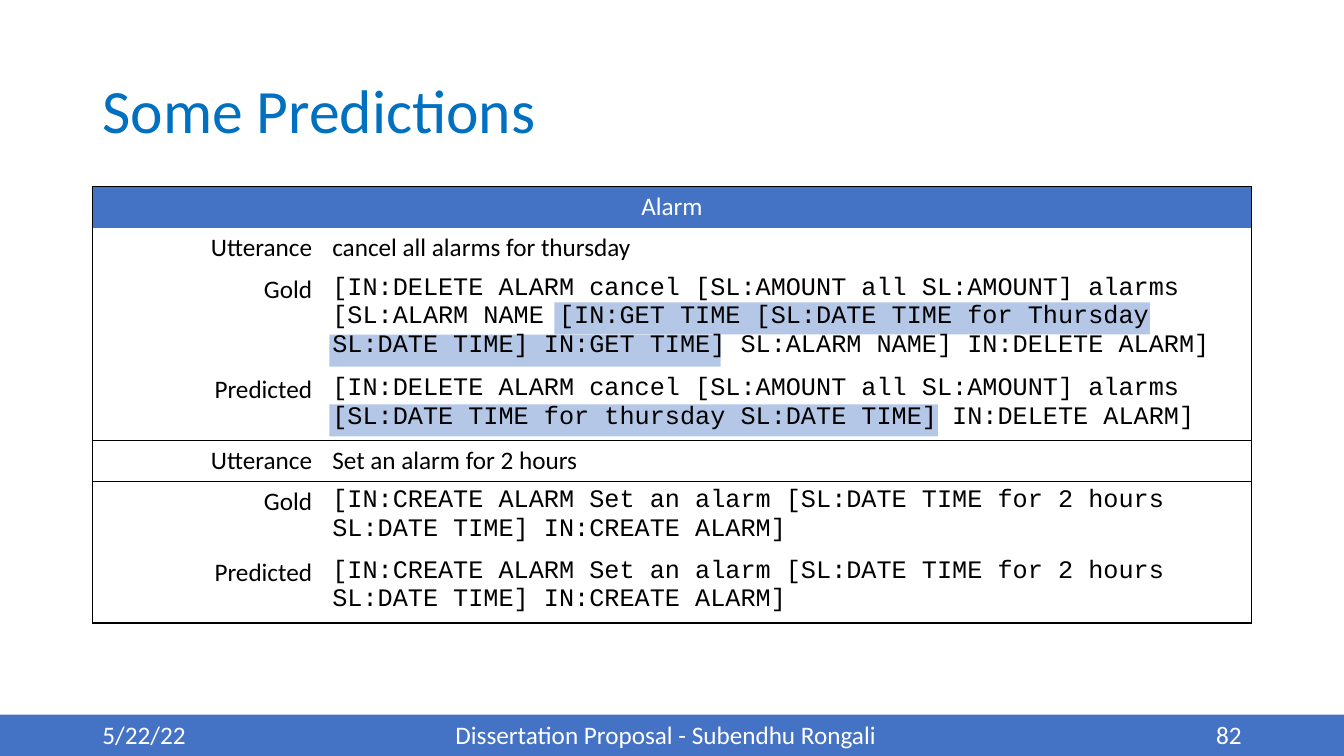
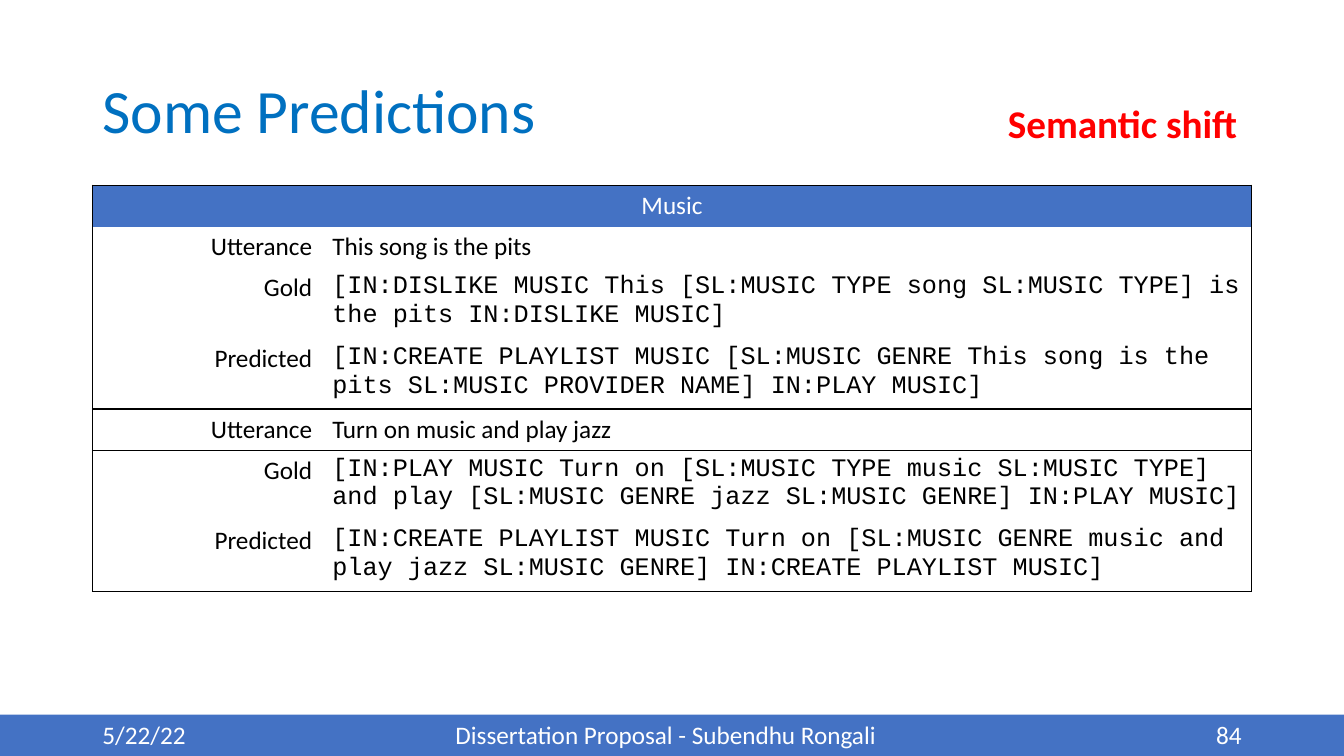
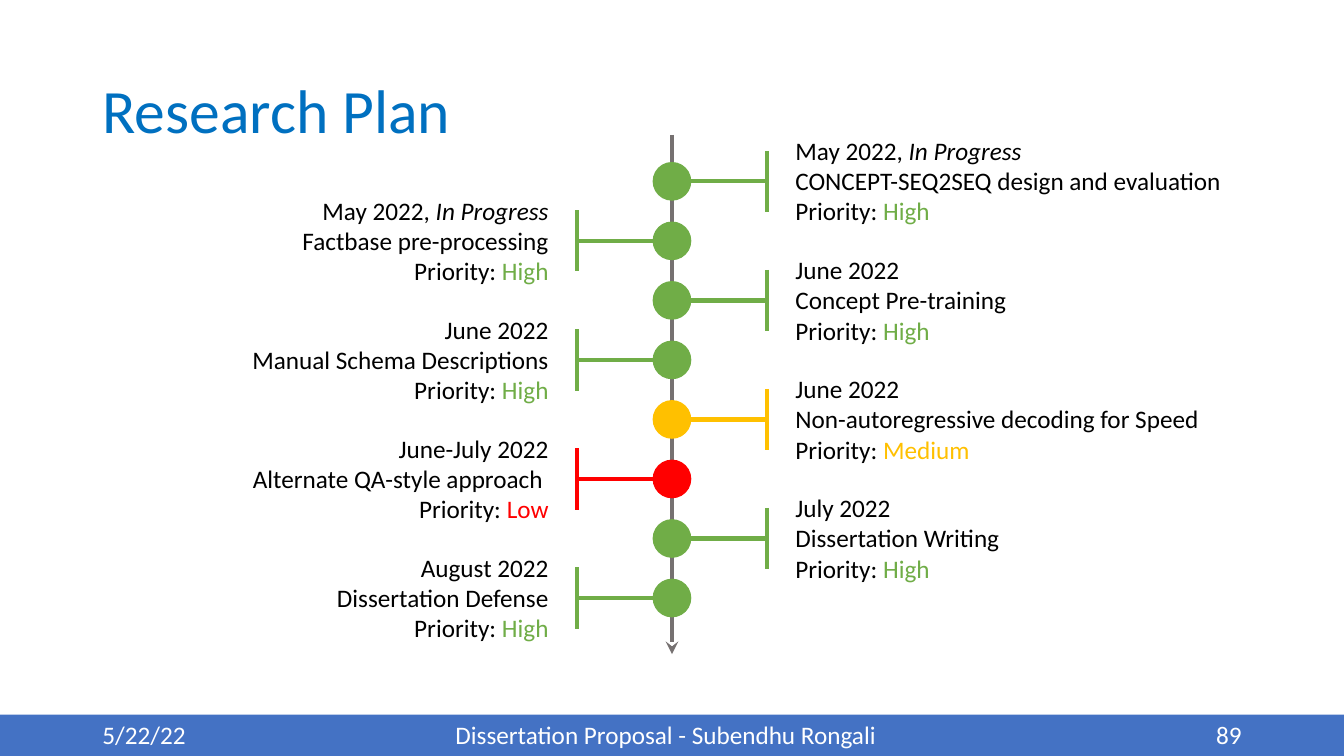
import pptx
import pptx.util
import pptx.dml.color
import pptx.enum.shapes
import pptx.enum.text
import pptx.oxml.ns
from lxml import etree

Cm = pptx.util.Cm
Pt = pptx.util.Pt
ALIGN = pptx.enum.text.PP_ALIGN
ANCHOR = pptx.enum.text.MSO_ANCHOR
SHAPE = pptx.enum.shapes.MSO_SHAPE
qn = pptx.oxml.ns.qn

COLORS = {
    "band": "4472C4", "title": "0070C0", "highlight": "B4C7E7", "axis": "767171",
    "text": "000000", "light": "FFFFFF",
    "High": "70AD47", "Medium": "FFC000", "Low": "FF0000",
}
WIDTH, HEIGHT = 33.87, 19.05
MARGIN, CONTENT_WIDTH = 2.33, 29.21
FOOTER_TOP = 18.01
ROW_HEIGHT = 1.04
BODY_FONT, CODE_FONT = "Calibri", "Courier New"


def rgb(name):
    """Return the palette colour with this name."""
    return pptx.dml.color.RGBColor.from_string(COLORS[name])


def write(frame, paragraphs, size=18, font=BODY_FONT, color="text", bold=False,
          align=ALIGN.LEFT, spacing=1.0):
    """Fill a text frame from a string or from lists of (text, overrides) runs."""
    if isinstance(paragraphs, str):
        paragraphs = [[(paragraphs, {})]]
    for number, pieces in enumerate(paragraphs):
        paragraph = frame.add_paragraph() if number else frame.paragraphs[0]
        paragraph.alignment = align
        paragraph.line_spacing = spacing
        for words, overrides in pieces:
            for row, line in enumerate(words.split("\n")):
                if row:
                    paragraph.add_line_break()
                run = paragraph.add_run()
                run.text = line
                run.font.size = Pt(size)
                run.font.name = font
                run.font.bold = bold
                run.font.italic = overrides.get("italic", False)
                run.font.color.rgb = rgb(overrides.get("color", color))


def add_text(shapes, box, paragraphs, wrap=True, anchor=ANCHOR.TOP, **style):
    """Place a text box at (left, top, width, height) in centimetres."""
    frame = shapes.add_textbox(*map(Cm, box)).text_frame
    frame.word_wrap = wrap
    frame.vertical_anchor = anchor
    write(frame, paragraphs, **style)


def add_solid(shapes, kind, box, color, outlined=False):
    """Place a plain filled shape."""
    solid = shapes.add_shape(kind, *map(Cm, box))
    solid.shadow.inherit = False
    solid.fill.solid()
    solid.fill.fore_color.rgb = rgb(color)
    if outlined:
        solid.line.color.rgb = rgb(color)
        solid.line.width = Pt(1)
    else:
        solid.line.fill.background()


def add_line(shapes, start, end, color, arrow=False):
    """Draw a thick straight line, with a stealth arrowhead at its end if asked."""
    line = shapes.add_connector(pptx.enum.shapes.MSO_CONNECTOR.STRAIGHT,
                                *map(Cm, (*start, *end)))
    line.line.color.rgb = rgb(color)
    line.line.width = Pt(3)
    properties = line._element.spPr
    if arrow:
        etree.SubElement(properties.find(qn("a:ln")), qn("a:tailEnd"), type="stealth")
    etree.SubElement(properties, qn("a:effectLst"))


def add_frame(deck, title, number):
    """Start a slide with its title and footer band."""
    shapes = deck.slides.add_slide(deck.slide_layouts[6]).shapes
    add_solid(shapes, SHAPE.RECTANGLE, (0, FOOTER_TOP, WIDTH, HEIGHT - FOOTER_TOP), "band")
    add_text(shapes, (MARGIN, 1.02, CONTENT_WIDTH, 3.68), title, size=44, color="title",
             anchor=ANCHOR.MIDDLE, spacing=0.9)
    for left, width, words, align in (
            (MARGIN, 7.62, "5/22/22", ALIGN.LEFT),
            (11.23, 11.43, "Dissertation Proposal - Subendhu Rongali", ALIGN.LEFT),
            (MARGIN + CONTENT_WIDTH - 7.62, 7.62, str(number), ALIGN.RIGHT)):
        add_text(shapes, (left, FOOTER_TOP, width, 1.02), words, color="light", align=align)
    return shapes


def set_borders(cell, sides):
    """Rule the given sides (of L, R, T, B) in black and clear the others."""
    properties = cell._tc.get_or_add_tcPr()
    for place, side in enumerate("LRTB"):
        border = etree.Element(qn("a:ln" + side), w=str(Pt(1)))
        if side in sides:
            fill = etree.SubElement(border, qn("a:solidFill"))
            etree.SubElement(fill, qn("a:srgbClr"), val=COLORS["text"])
        else:
            etree.SubElement(border, qn("a:noFill"))
        properties.insert(place, border)


def add_predictions(shapes, left, top, domain, examples):
    """Tabulate each example's utterance, gold parse and predicted parse."""
    rows = [pair for example in examples
            for pair in zip(("Utterance", "Gold", "Predicted"), example)]
    table = shapes.add_table(len(rows) + 1, 2, Cm(left), Cm(top), Cm(CONTENT_WIDTH),
                             Cm(ROW_HEIGHT * (len(rows) + 1))).table
    table.first_row = table.horz_banding = False
    table.columns[0].width = Cm(5.79)
    table.columns[1].width = Cm(CONTENT_WIDTH - 5.79)
    header = table.cell(0, 0)
    header.merge(table.cell(0, 1))
    for cell, sides in ((header, "LRT"), (table.cell(0, 1), "RT")):
        cell.fill.solid()
        cell.fill.fore_color.rgb = rgb("band")
        set_borders(cell, sides)
    write(header.text_frame, domain, color="light", align=ALIGN.CENTER)
    for number, (role, words) in enumerate(rows, 1):
        ruled_above = "T" if number in (4, 5) else ""
        ruled_below = "B" if number in (3, 4, 6) else ""
        font = BODY_FONT if role == "Utterance" else CODE_FONT
        for column, (content, style, edge) in enumerate((
                (role, {"align": ALIGN.RIGHT}, "L"), (words, {"font": font}, "R"))):
            cell = table.cell(number, column)
            cell.fill.background()
            set_borders(cell, edge + ruled_above + ruled_below)
            write(cell.text_frame, content, **style)


def add_highlights(shapes, left, top, spans):
    """Mark spans, given as (x, y, width) from the table corner."""
    for x, y, width in spans:
        add_solid(shapes, SHAPE.RECTANGLE, (left + x, top + y, width, 0.81), "highlight")


def add_milestone(shapes, x, y, side, date, status, task, priority, text_width):
    """Draw one milestone branching right (side 1) or left (side -1) of the axis."""
    parts = shapes.add_group_shape().shapes
    radius, reach, text_gap, half_cap, text_height = 0.47, 2.4, 2.86, 0.77, 2.57
    add_solid(parts, SHAPE.OVAL, (x - radius, y - radius, 2 * radius, 2 * radius),
              priority, outlined=True)
    cap = x + side * reach
    add_line(parts, (x + side * radius, y), (cap, y), priority)
    add_line(parts, (cap, y - half_cap), (cap, y + half_cap), priority)
    text_left = x + text_gap if side > 0 else x - text_gap - text_width
    heading = [(date, {})]
    if status:
        heading.append((status, {"italic": True}))
    add_text(parts, (text_left, y - text_height / 2, text_width, text_height),
             [heading, [(task + "\nPriority: ", {}), (priority, {"color": priority})]],
             wrap=False, align=ALIGN.LEFT if side > 0 else ALIGN.RIGHT)


def add_timeline(shapes, x, top, bottom, milestones):
    """Draw the axis with milestones on alternating sides at equal steps."""
    add_line(shapes, (x, top), (x, bottom), "axis", arrow=True)
    for number, milestone in enumerate(milestones):
        add_milestone(shapes, x, top + 1.17 + 1.5 * number, (-1) ** number, *milestone)


ALARM_EXAMPLES = [
    ("cancel all alarms for thursday",
     "[IN:DELETE ALARM cancel [SL:AMOUNT all SL:AMOUNT] alarms [SL:ALARM NAME "
     "[IN:GET TIME [SL:DATE TIME for Thursday SL:DATE TIME] IN:GET TIME] "
     "SL:ALARM NAME] IN:DELETE ALARM]",
     "[IN:DELETE ALARM cancel [SL:AMOUNT all SL:AMOUNT] alarms "
     "[SL:DATE TIME for thursday SL:DATE TIME] IN:DELETE ALARM]"),
    ("Set an alarm for 2 hours",
     *["[IN:CREATE ALARM Set an alarm [SL:DATE TIME for 2 hours SL:DATE TIME] "
       "IN:CREATE ALARM]"] * 2),
]
MUSIC_EXAMPLES = [
    ("This song is the pits",
     "[IN:DISLIKE MUSIC This [SL:MUSIC TYPE song SL:MUSIC TYPE] is\n"
     "the pits IN:DISLIKE MUSIC]",
     "[IN:CREATE PLAYLIST MUSIC [SL:MUSIC GENRE This song is the\n"
     "pits SL:MUSIC PROVIDER NAME] IN:PLAY MUSIC]"),
    ("Turn on music and play jazz",
     "[IN:PLAY MUSIC Turn on [SL:MUSIC TYPE music SL:MUSIC TYPE]\n"
     "and play [SL:MUSIC GENRE jazz SL:MUSIC GENRE] IN:PLAY MUSIC]",
     "[IN:CREATE PLAYLIST MUSIC Turn on [SL:MUSIC GENRE music and\n"
     "play jazz SL:MUSIC GENRE] IN:CREATE PLAYLIST MUSIC]"),
]
MILESTONES = [
    ("May 2022, ", "In Progress", "CONCEPT-SEQ2SEQ design and evaluation", "High", 11.35),
    ("May 2022, ", "In Progress", "Factbase pre-processing", "High", 6.96),
    ("June 2022", "", "Concept Pre-training", "High", 5.89),
    ("June 2022", "", "Manual Schema Descriptions", "High", 8.08),
    ("June 2022", "", "Non-autoregressive decoding for Speed", "Medium", 10.8),
    ("June-July 2022", "", "Alternate QA-style approach ", "Low", 8.05),
    ("July 2022", "", "Dissertation Writing", "High", 5.72),
    ("August 2022", "", "Dissertation Defense", "High", 5.92),
]

deck = pptx.Presentation()
deck.slide_width, deck.slide_height = Cm(WIDTH), Cm(HEIGHT)

alarm = add_frame(deck, "Some Predictions", 82)
add_highlights(alarm, MARGIN, 4.7,
               [(11.64, 2.92, 15.01), (5.97, 3.73, 9.86), (5.97, 5.49, 15.34)])
add_predictions(alarm, MARGIN, 4.7, "Alarm", ALARM_EXAMPLES)

music = add_frame(deck, "Some Predictions", 84)
add_predictions(music, MARGIN, 4.67, "Music", MUSIC_EXAMPLES)
add_text(music, (25.15, 2.39, 6.4, 1.45), "Semantic shift", wrap=False, size=28,
         color="Low", bold=True)

plan = add_frame(deck, "Research Plan", 89)
add_timeline(plan, WIDTH / 2, 3.4, 16.48, MILESTONES)

deck.save("out.pptx")
